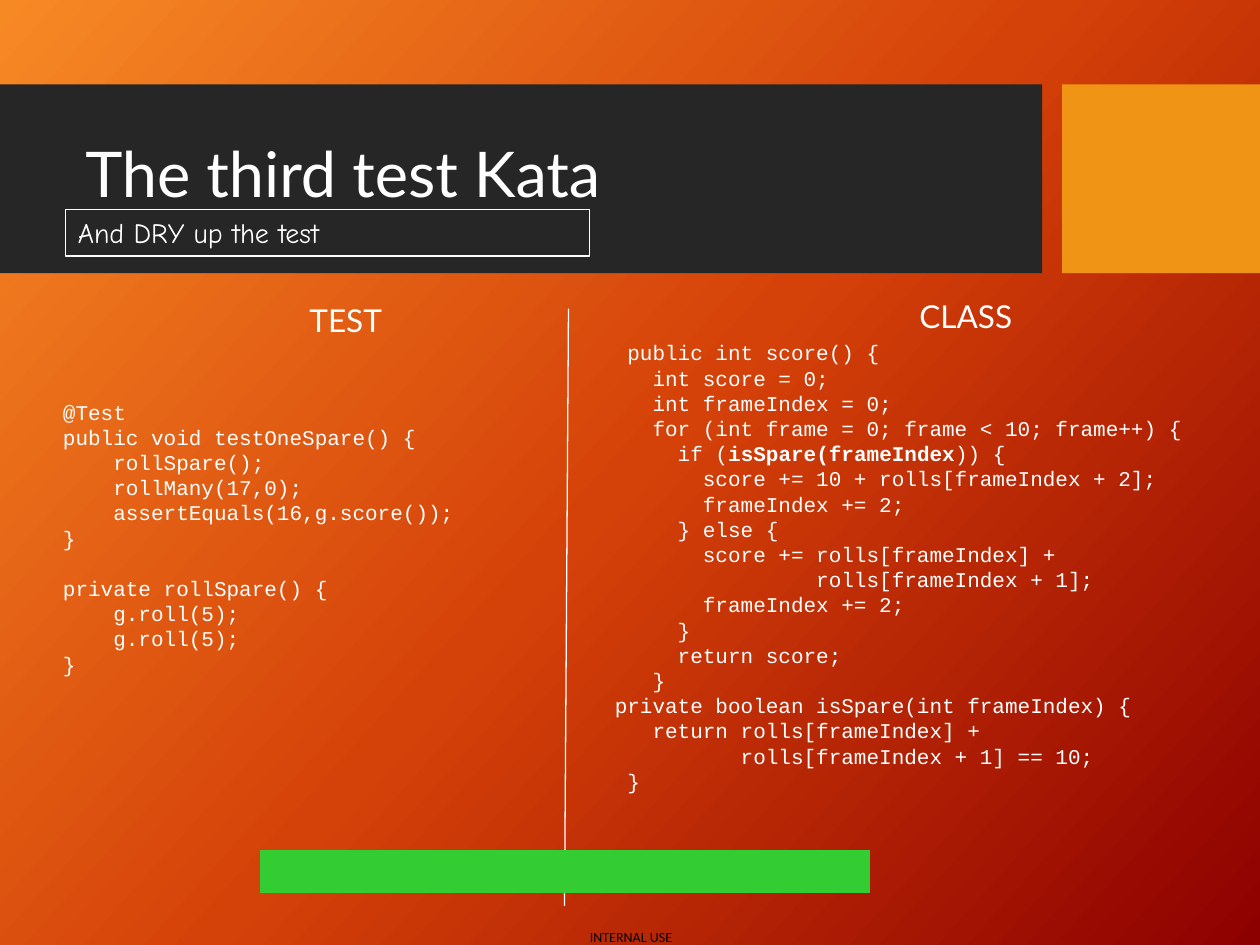
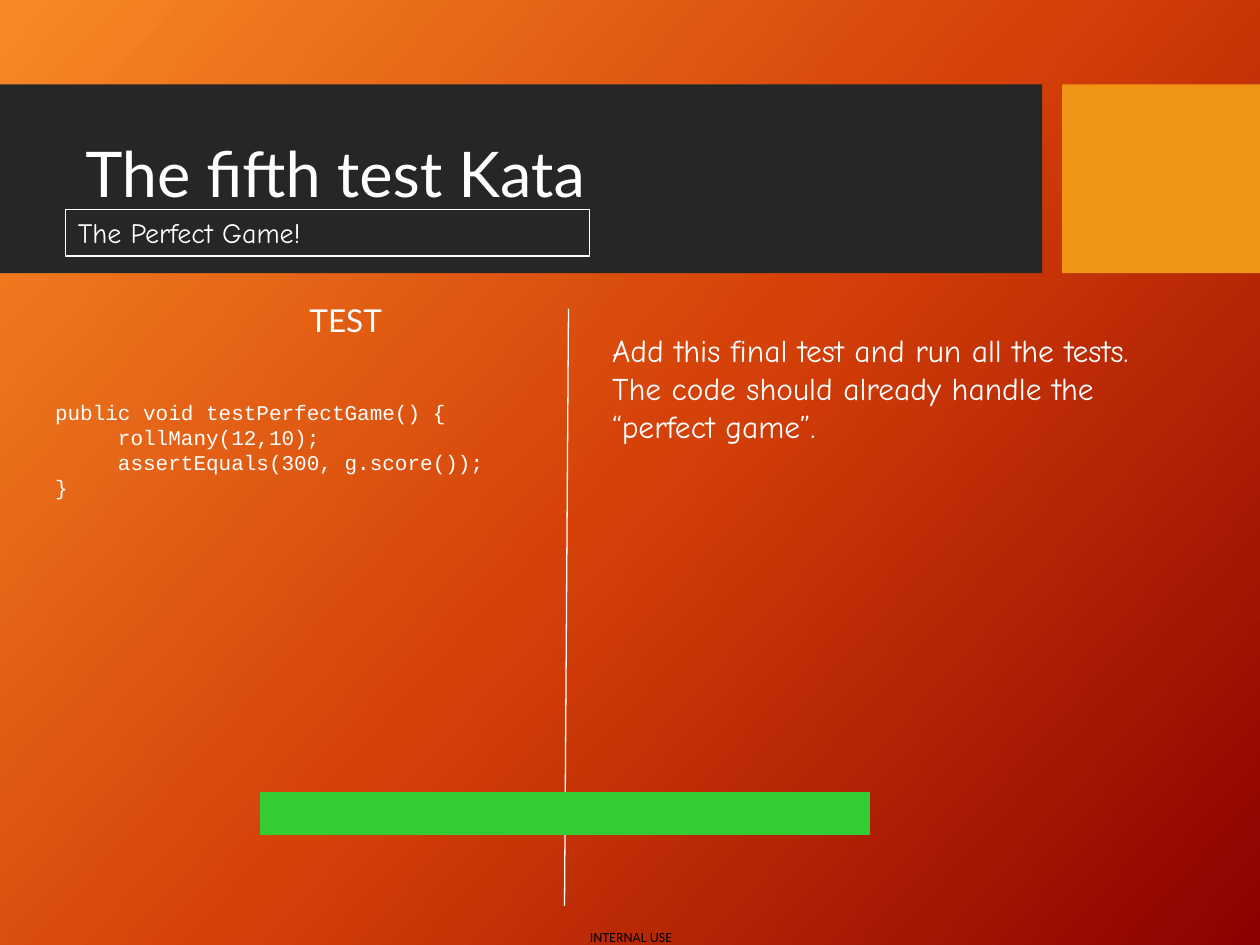
import copy
import pptx
import pptx.dml.color
import pptx.enum.shapes
import pptx.enum.text
import pptx.oxml.ns
import pptx.util
from pptx.util import Cm, Pt

WHITE, BLACK, CHARCOAL, AMBER, GREEN = "FFFFFF", "000000", "262626", "F09415", "33CC33"
BACKDROP = [(0, "F78925"), (0.5, "D54209"), (1, "8D0000")]
BACKDROP_ANGLE = 42
TITLE = {"name": "Lato", "size": Pt(36)}
HEADING = {"name": "Lato", "size": Pt(18)}
SUBTITLE = {"name": "Comic Neue", "size": Pt(16)}
PROSE = {"name": "Comic Neue", "size": Pt(18)}
CODE = {"name": "Courier New", "size": Pt(12)}
FOOTER = {"name": "Calibri", "size": Pt(8)}
CENTER = {"alignment": pptx.enum.text.PP_ALIGN.CENTER}
LEFT = {"alignment": pptx.enum.text.PP_ALIGN.LEFT}
BLANK_LINE = Cm(0.51)
BOLD_MARK = "**"

SPARE_TEST = """@Test
public void testOneSpare() {
    rollSpare();
    rollMany(17,0);
    assertEquals(16,g.score());
}

private rollSpare() {
    g.roll(5);
    g.roll(5);
}"""

SPARE_CLASS = """  public int score() {
    int score = 0;
    int frameIndex = 0;
    for (int frame = 0; frame < 10; frame++) {
      if (**isSpare(frameIndex**)) {
        score += 10 + rolls[frameIndex + 2];
        frameIndex += 2;
      } else {
        score += rolls[frameIndex] +
                 rolls[frameIndex + 1];
        frameIndex += 2;
      }
      return score;
    }
 private boolean isSpare(int frameIndex) {
    return rolls[frameIndex] +
           rolls[frameIndex + 1] == 10;
  }"""

PERFECT_TEST = """public void testPerfectGame() {
     rollMany(12,10);
     assertEquals(300, g.score());
}"""

PERFECT_ADVICE = """Add this final test and run all the tests.
The code should already handle the “perfect game”."""


def color(value):
    return pptx.dml.color.RGBColor.from_string(value)


def apply(target, values):
    for name, value in values.items():
        setattr(target, name, value)


def lengths(box):
    return [Cm(value) for value in box]


def write(frame, text, font, ink=WHITE, layout=LEFT):
    frame.word_wrap = True
    para, gap = frame.paragraphs[0], None
    for number, line in enumerate(text.split("\n")):
        if not line:
            gap = BLANK_LINE
            continue
        if number:
            para = frame.add_paragraph()
        apply(para, {**layout, "space_before": gap})
        gap = None
        for index, part in enumerate(line.split(BOLD_MARK)):
            span = para.add_run()
            span.text = part
            apply(span.font, {**font, "bold": index % 2 == 1})
            span.font.color.rgb = color(ink)


def text_box(page, box, text, font, ink=WHITE, layout=LEFT):
    frame = page.shapes.add_textbox(*lengths(box)).text_frame
    write(frame, text, font, ink, layout)
    return frame


def rectangle(page, box, fill=None, line=None):
    shape = page.shapes.add_shape(pptx.enum.shapes.MSO_SHAPE.RECTANGLE, *lengths(box))
    shape.shadow.inherit = False
    if fill:
        shape.fill.solid()
        shape.fill.fore_color.rgb = color(fill)
    else:
        shape.fill.background()
    if line:
        shape.line.color.rgb = color(line)
        shape.line.width = Pt(0.75)
    else:
        shape.line.fill.background()
    return shape


def backdrop(page):
    fill = page.background.fill
    fill.gradient()
    fill.gradient_angle = 360 - BACKDROP_ANGLE
    stops = next(page.element.iter(pptx.oxml.ns.qn("a:gsLst")))
    stops.append(copy.deepcopy(stops[0]))
    for stop, (position, shade) in zip(fill.gradient_stops, BACKDROP):
        stop.position = position
        stop.color.rgb = color(shade)


def footer(page, box):
    frame = text_box(page, box, "INTERNAL USE", FOOTER, BLACK)
    apply(frame, {"margin_left": 0, "margin_right": 0, "margin_top": 0,
                  "margin_bottom": 0, "word_wrap": False})


def header(page, box, title, subtitle):
    left, top, width, height = box
    tab_width, gap = 3.99, 0.4
    rectangle(page, (left, top, width - tab_width - gap, height), CHARCOAL)
    rectangle(page, (left + width - tab_width, top, tab_width, height), AMBER)
    frame = text_box(page, (left + 1.47, top + 0.38, 19.15, 3), title, TITLE,
                     layout={**LEFT, "line_spacing": 0.9})
    frame.vertical_anchor = pptx.enum.text.MSO_ANCHOR.MIDDLE
    label = rectangle(page, (left + 1.32, top + 2.52, 10.57, 0.94), line=WHITE)
    write(label.text_frame, subtitle, SUBTITLE)


def divider(page, box):
    left, top, width, height = box
    line = page.shapes.add_connector(
        pptx.enum.shapes.MSO_CONNECTOR.STRAIGHT,
        *lengths((left + width, top, left, top + height)))
    line.line.color.rgb = color(WHITE)
    line.line.width = Pt(0.75)
    properties = line.element.spPr
    properties.append(properties.makeelement(pptx.oxml.ns.qn("a:effectLst"), {}))


def code_panel(page, box, heading, heading_left, code, code_left, code_top):
    left, top, width, height = box
    text_box(page, (left + heading_left, top, 5.92, 1.02), heading, HEADING, layout=CENTER)
    text_box(page, (left + code_left, top + code_top, width - code_left, height - code_top),
             code, CODE)


def kata_page(deck, title, subtitle, test, test_left, bar_top):
    page = deck.slides.add_slide(deck.slide_layouts[6])
    backdrop(page)
    footer(page, (11.89, 18.72, 1.7, 0.33))
    header(page, (0, 1.7, 25.4, 3.81), title, subtitle)
    divider(page, (11.38, 6.22, 0.08, 12.04))
    code_panel(page, (0, 5.94, 11.4, 7.9), "TEST", 4.01, test, test_left, 1.98)
    rectangle(page, (5.26, bar_top, 12.27, 0.84), GREEN, GREEN)
    return page


def main():
    deck = pptx.Presentation()
    apply(deck, {"slide_width": Cm(25.4), "slide_height": Cm(19.05)})
    spare = kata_page(deck, "The third test Kata", "And DRY up the test",
                      SPARE_TEST, 1.02, 17.15)
    code_panel(spare, (11.89, 5.87, 12.45, 10.7), "CLASS", 4.62, SPARE_CLASS, 0, 0.86)
    perfect = kata_page(deck, "The fifth test Kata", "The Perfect Game!",
                        PERFECT_TEST, 0.86, 15.98)
    text_box(perfect, (12.09, 6.55, 11.51, 3.33), PERFECT_ADVICE, PROSE)
    deck.save("out.pptx")


if __name__ == "__main__":
    main()
